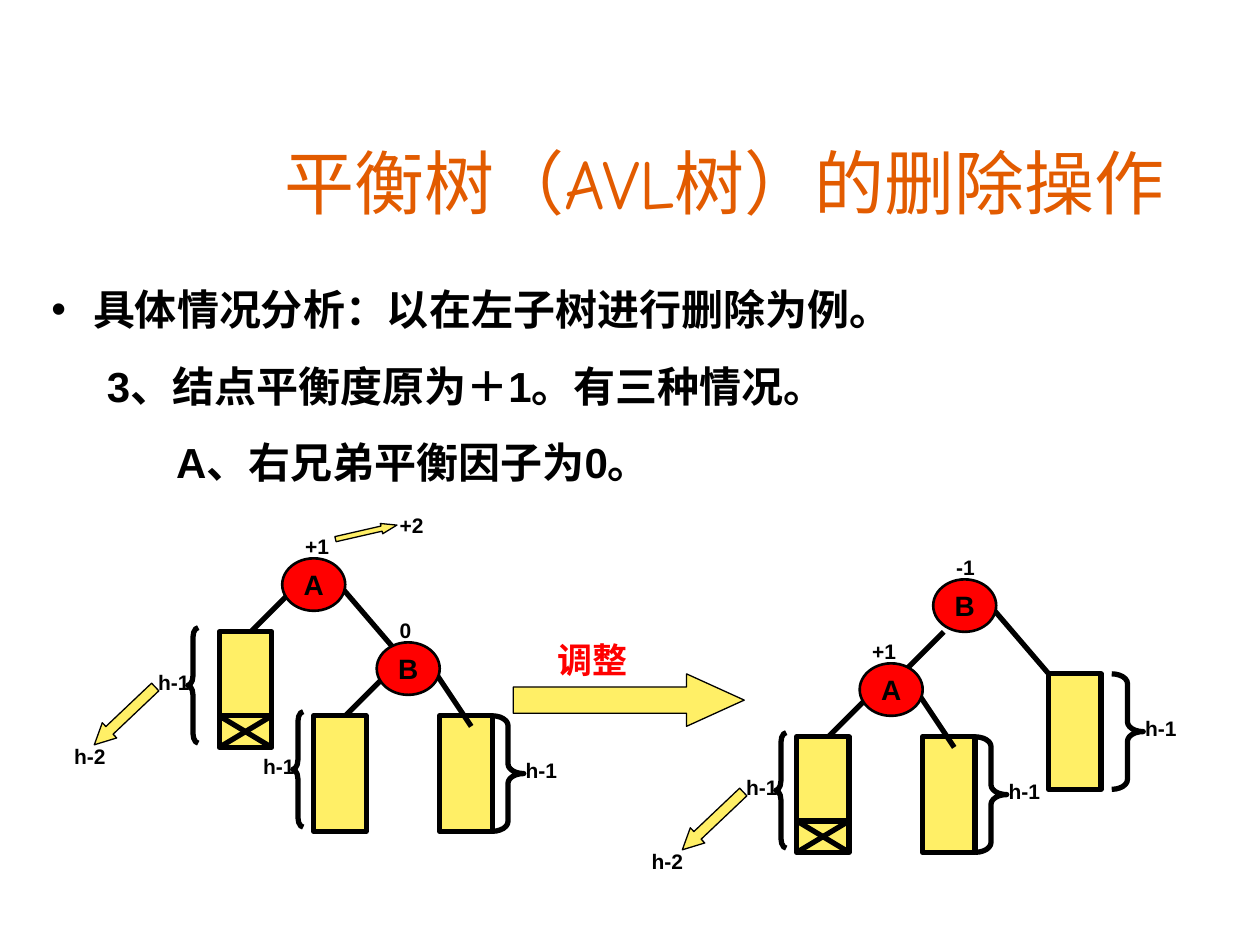
from pptx import Presentation
from pptx import util as u
from pptx.dml import color
from pptx.enum import shapes, text
from pptx.oxml import ns
from lxml import etree

presentation = Presentation()
presentation.slide_width, presentation.slide_height = u.Inches(10), u.Inches(7.5)
slide = presentation.slides.add_slide(presentation.slide_layouts[6])
items = slide.shapes
left, top = u.Inches(-0.01), u.Inches(0.015)
cell = presentation.slide_width // 120


def add_shape(preset, column, row, columns, rows, fill, width):
    shape = items.add_shape(
        preset, left + u.Emu(int(column * cell)), top + u.Emu(int(row * cell)),
        columns * cell, rows * cell)
    shape.shadow.inherit = False
    if fill:
        shape.fill.solid()
        shape.fill.fore_color.rgb = color.RGBColor.from_string(fill)
    else:
        shape.fill.background()
    shape.line.color.rgb = color.RGBColor.from_string("000000")
    shape.line.width = u.Pt(width)
    return shape


def add_run(paragraph, words, size, hue="000000", font="Arial", bold=True):
    run = paragraph.add_run()
    run.text = words
    run.font.size = u.Pt(size)
    run.font.name = font
    run.font.bold = bold
    run.font.color.rgb = color.RGBColor.from_string(hue)


title = items.add_textbox(u.Inches(1.53), u.Inches(1.07), u.Inches(8.44), u.Inches(0.74))
title.text_frame.word_wrap = True
title.text_frame.vertical_anchor = text.MSO_ANCHOR.MIDDLE
title.text_frame.paragraphs[0].alignment = text.PP_ALIGN.CENTER
add_run(title.text_frame.paragraphs[0], "平衡树（AVL树）的删除操作", 40, "E25B00", "Comic Neue", False)

body = items.add_textbox(u.Inches(0.06), u.Inches(2.2), u.Inches(7.22), u.Inches(1.72))
body.text_frame.word_wrap = True
outline = [
    ("具体情况分析：以在左子树进行删除为例。", 0.58, -0.33),
    ("3、结点平衡度原为＋1。有三种情况。", 0.69, 0),
    ("A、右兄弟平衡因子为0。", 1.24, 0),
]
for index, (words, margin, indent) in enumerate(outline):
    paragraph = body.text_frame.add_paragraph() if index else body.text_frame.paragraphs[0]
    paragraph.space_before = u.Pt(15)
    properties = paragraph._p.get_or_add_pPr()
    properties.set("marL", str(u.Inches(margin)))
    properties.set("indent", str(u.Inches(indent)))
    if indent:
        etree.SubElement(properties, ns.qn("a:buFont"), typeface="Arial")
        etree.SubElement(properties, ns.qn("a:buChar"), char="•")
    add_run(paragraph, words, 24)

preset = shapes.MSO_SHAPE
braces = [(preset.LEFT_BRACE, 1, 0.92, [(18, 59.6), (28, 67.6), (74, 69.6)]),
          (preset.RIGHT_BRACE, 3, 0.31, [(47, 68), (93, 70), (106, 64)])]
for kind, columns, curve, places in braces:
    for column, row in places:
        brace = add_shape(kind, column, row, columns, 11, None, 3)
        brace.adjustments[0] = curve

for column, row in [(21, 60), (30, 68), (42, 68), (76, 70), (88, 70), (100, 64)]:
    add_shape(preset.RECTANGLE, column, row, 5, 11, "FFEF66", 3)

lines = [(29, 55, 24, 60), (32, 55, 38, 62), (38, 63, 33, 68), (41, 63, 45, 69),
         (90, 60, 86, 64), (94, 57, 100, 64), (84, 65, 79, 70), (87, 65, 91, 71)]
for column, row in [(21, 68), (76, 78)]:
    lines += [(column, row, column + 5, row), (column, row, column + 5, row + 3),
              (column + 5, row, column, row + 3)]
for x1, y1, x2, y2 in lines:
    line = items.add_connector(
        shapes.MSO_CONNECTOR.STRAIGHT, left + x1 * cell, top + y1 * cell,
        left + x2 * cell, top + y2 * cell)
    line.line.color.rgb = color.RGBColor.from_string("000000")
    line.line.width = u.Pt(3)
    etree.SubElement(line._element.spPr, ns.qn("a:effectLst"))

for name, column, row in [("A", 27, 53), ("B", 36, 61), ("B", 89, 55), ("A", 82, 63)]:
    node = add_shape(preset.OVAL, column, row, 6, 5, "FF0000", 1.5)
    node.text_frame.word_wrap = False
    node.text_frame.vertical_anchor = text.MSO_ANCHOR.MIDDLE
    node.text_frame.paragraphs[0].alignment = text.PP_ALIGN.CENTER
    add_run(node.text_frame.paragraphs[0], name, 16)

arrows = [(49, 64, 22, 5, 0, 1.1), (8, 67, 8, 2, 136.5, 1),
          (64, 77, 8, 2, 136.5, 1), (32, 50, 6, 1, 347.1, 1.5)]
for column, row, columns, rows, angle, head in arrows:
    arrow = add_shape(preset.RIGHT_ARROW, column, row, columns, rows, "FFEF66", 0.74)
    arrow.rotation = angle
    arrow.adjustments[1] = head

labels = [("h-1", 14, 63), ("h-2", 6, 70), ("+1", 28, 50), ("+2", 37, 48), ("0", 37, 58),
          ("h-1", 24, 71), ("h-1", 49, 71.4), ("h-1", 70, 73), ("h-2", 61, 80),
          ("-1", 90, 52), ("h-1", 95, 73.4), ("h-1", 108, 67.4), ("+1", 82, 60),
          ("调整", 52, 60)]
for words, column, row in labels:
    columns, rows, size, hue = (16, 5, 20, "FF0000") if words == "调整" else (6, 4, 12, "000000")
    label = items.add_textbox(
        left + column * cell, top + u.Emu(int(row * cell)), columns * cell, rows * cell)
    label.text_frame.word_wrap = True
    add_run(label.text_frame.paragraphs[0], words, size, hue)

presentation.save("out.pptx")
